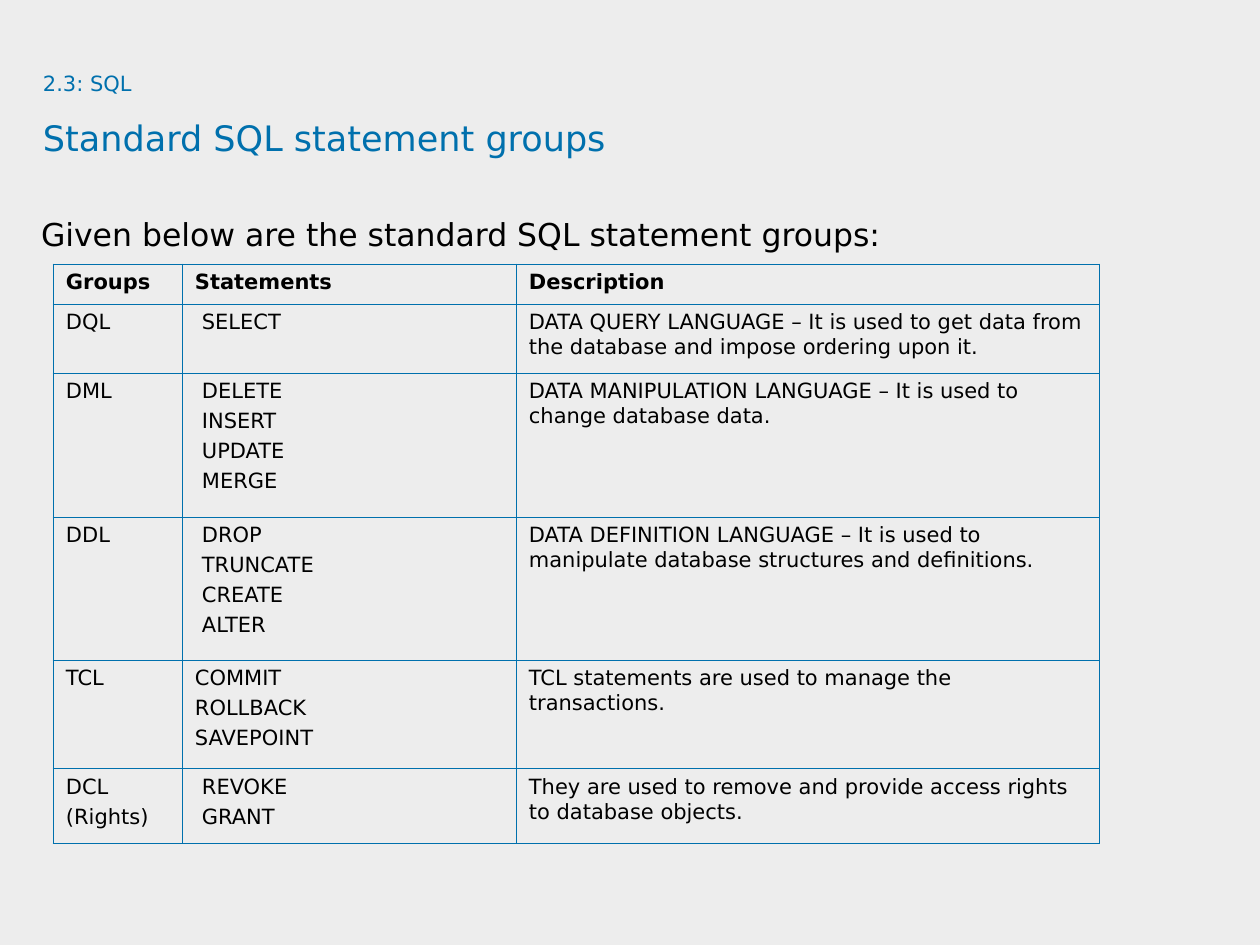
from dataclasses import dataclass

from lxml.etree import SubElement
from pptx import Presentation
from pptx.dml.color import RGBColor as RGB
from pptx.oxml.ns import qn
from pptx.util import Pt

PX = 914400 / 126


@dataclass(frozen=True)
class Theme:
    font: str = "DejaVu Sans"
    background: str = "EDEDED"
    accent: str = "0070AD"
    ink: str = "000000"
    small: int = 12
    body: int = 18
    title: int = 20
    border: float = 0.45


THEME = Theme()

HEADERS = ["Groups", "Statements", "Description"]
COLUMN_WIDTHS = [129, 334, 583]
ROW_HEIGHTS = [40, 69, 144, 143, 109, 75]
STATEMENT_INDENT = 7

# Group lines, statement lines, description, statement indent
GROUPS = [
    (["DQL"], ["SELECT"],
     "DATA QUERY LANGUAGE – It is used to get data from the database "
     "and impose ordering upon it.", STATEMENT_INDENT),
    (["DML"], ["DELETE", "INSERT", "UPDATE", "MERGE"],
     "DATA MANIPULATION LANGUAGE – It is used to change database data.",
     STATEMENT_INDENT),
    (["DDL"], ["DROP", "TRUNCATE", "CREATE", "ALTER"],
     "DATA DEFINITION LANGUAGE – It is used to manipulate database "
     "structures and definitions.", STATEMENT_INDENT),
    (["TCL"], ["COMMIT", "ROLLBACK", "SAVEPOINT"],
     "TCL statements are used to manage the transactions.", 0),
    (["DCL", "(Rights)"], ["REVOKE", "GRANT"],
     "They are used to remove and provide access rights to database objects.",
     STATEMENT_INDENT),
]


def px(n):
    return round(n * PX)


def write(tf, lines, sizes=(THEME.small,), color=THEME.ink, bold=False,
          spacing=None, before=0):
    """Write one paragraph per line; the last size serves all further lines."""
    for i, line in enumerate(lines):
        p = tf.paragraphs[0] if i == 0 else tf.add_paragraph()
        if spacing:
            p.line_spacing = spacing
        if i and before:
            p.space_before = Pt(before)
        r = p.add_run()
        r.text = line
        r.font.name = THEME.font
        r.font.size = Pt(sizes[min(i, len(sizes) - 1)])
        r.font.bold = bold
        r.font.color.rgb = RGB.from_string(color)


def add_text(slide, box, lines, **fmt):
    tf = slide.shapes.add_textbox(*map(px, box)).text_frame
    tf.word_wrap = True
    tf.margin_left = tf.margin_right = tf.margin_top = tf.margin_bottom = 0
    write(tf, lines, **fmt)


def set_borders(cell):
    tc_pr = cell._tc.get_or_add_tcPr()
    for i, side in enumerate(("lnL", "lnR", "lnT", "lnB")):
        ln = SubElement(tc_pr, qn(f"a:{side}"), w=str(Pt(THEME.border)))
        tc_pr.insert(i, ln)
        fill = SubElement(ln, qn("a:solidFill"))
        SubElement(fill, qn("a:srgbClr"), val=THEME.accent)


def fill_cell(cell, lines, bold=False, indent=0):
    cell.fill.background()
    cell.margin_left = px(13 + indent)
    write(cell.text_frame, lines, bold=bold, before=3)
    set_borders(cell)


def add_groups_table(slide, left, top):
    table = slide.shapes.add_table(
        len(ROW_HEIGHTS), len(COLUMN_WIDTHS), px(left), px(top),
        px(sum(COLUMN_WIDTHS)), px(sum(ROW_HEIGHTS))).table
    table.first_row = table.horz_banding = False
    for column, width in zip(table.columns, COLUMN_WIDTHS):
        column.width = px(width)
    for row, height in zip(table.rows, ROW_HEIGHTS):
        row.height = px(height)
    for c, header in enumerate(HEADERS):
        fill_cell(table.cell(0, c), [header], bold=True)
    for r, (group, statements, description, indent) in enumerate(GROUPS, 1):
        fill_cell(table.cell(r, 0), group)
        fill_cell(table.cell(r, 1), statements, indent=indent)
        fill_cell(table.cell(r, 2), [description])


def main():
    prs = Presentation()
    prs.slide_width, prs.slide_height = px(1260), px(945)
    slide = prs.slides.add_slide(prs.slide_layouts[6])
    bg = slide.background.fill
    bg.solid()
    bg.fore_color.rgb = RGB.from_string(THEME.background)

    add_text(slide, (43, 58, 1145, 118),
             ["2.3: SQL", "Standard SQL statement groups"],
             sizes=(THEME.small, THEME.title), color=THEME.accent, spacing=1.5)
    add_text(slide, (41, 196, 1219, 640),
             ["Given below are the standard SQL statement groups:"],
             sizes=(THEME.body,), spacing=1.5)
    add_groups_table(slide, 53, 264)
    prs.save("out.pptx")


if __name__ == "__main__":
    main()
